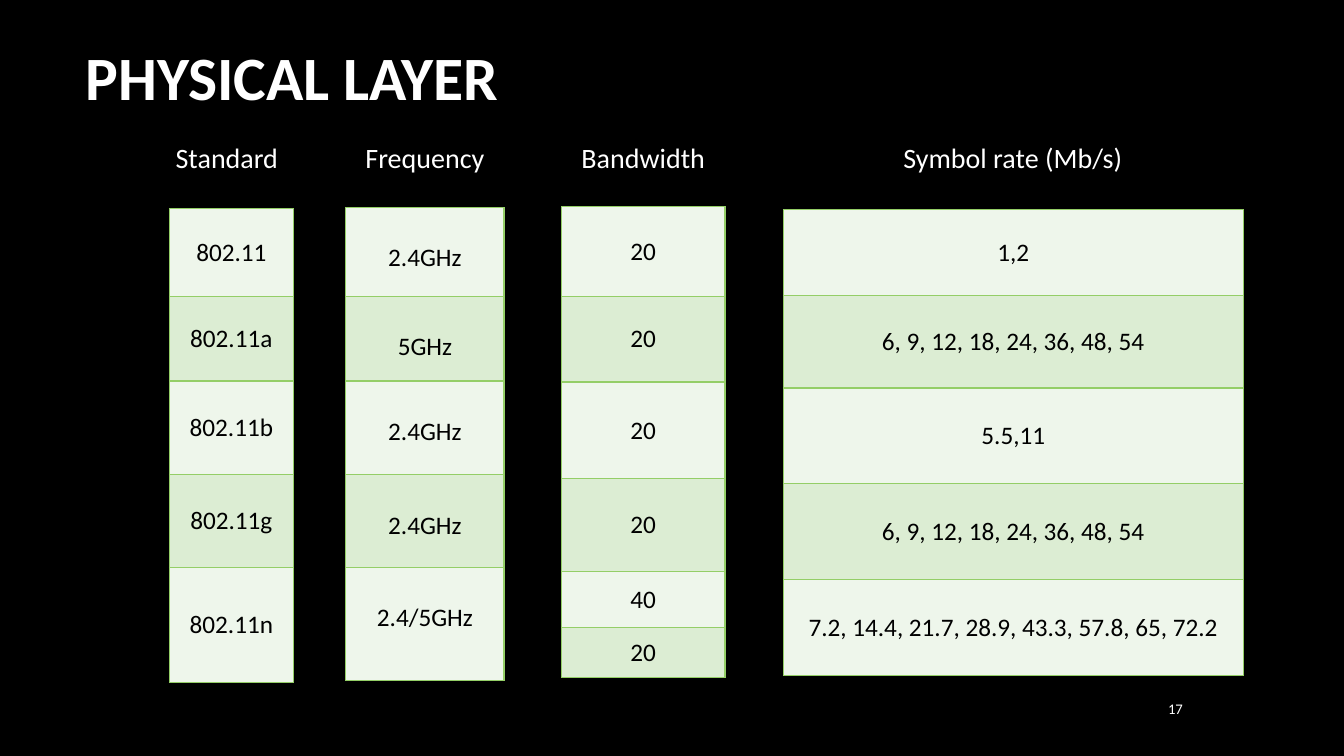
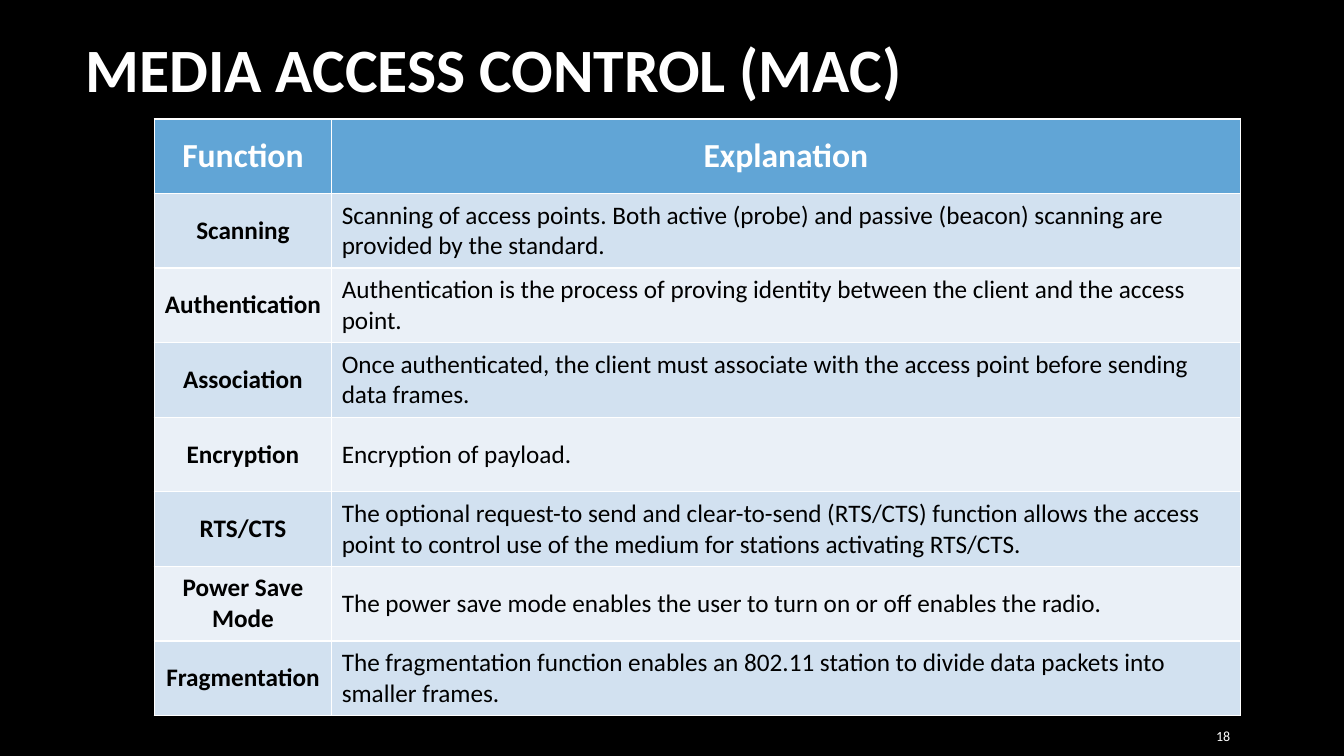
from lxml import etree
from pptx import Presentation
from pptx.dml.color import RGBColor
from pptx.enum import text as t
from pptx.oxml import ns
from pptx.util import Inches, Pt

FONT = "Calibri"
BLACK = RGBColor(0x00, 0x00, 0x00)
WHITE = RGBColor(0xFF, 0xFF, 0xFF)
GREEN_LINE = RGBColor(0x94, 0xCE, 0x67)
GREEN_BANDS = (RGBColor(0xEE, 0xF6, 0xEB), RGBColor(0xDC, 0xED, 0xD3))
BLUE_HEADER = RGBColor(0x61, 0xA5, 0xD6)
BLUE_BANDS = (RGBColor(0xD2, 0xE1, 0xF0), RGBColor(0xEA, 0xF0, 0xF7))
LEFT, CENTER, RIGHT = t.PP_ALIGN.LEFT, t.PP_ALIGN.CENTER, t.PP_ALIGN.RIGHT
TOP, MIDDLE = t.MSO_ANCHOR.TOP, t.MSO_ANCHOR.MIDDLE

LABEL_TOP = 1.34
RATES_OFDM = "6, 9, 12, 18, 24, 36, 48, 54"
STANDARD_COLUMNS = [
    dict(label="Standard", label_box=(1.58, 1.34), left=1.68, top=2.07, width=1.23,
         heights=[0.87, 0.84, 0.93, 0.92, 1.14],
         values=["802.11", "802.11a", "802.11b", "802.11g", "802.11n"]),
    dict(label="Frequency", label_box=(3.51, 1.41), left=3.43, top=2.06, width=1.57,
         heights=[0.88, 0.84, 0.93, 0.92, 1.12], anchor=TOP, margin_top=0.35,
         values=["2.4GHz", "5GHz", "2.4GHz", "2.4GHz", "2.4/5GHz"]),
    dict(label="Bandwidth", label_box=(5.57, 1.62), left=5.57, top=2.05, width=1.62,
         heights=[0.89, 0.85, 0.96, 0.92, 0.56, 0.49],
         values=["20", "20", "20", "20", "40", "20"]),
    dict(label="Symbol rate (Mb/s)", label_box=(8.43, 3.23), left=7.77, top=2.08, width=4.56,
         heights=[0.85, 0.92, 0.95, 0.95, 0.95],
         values=["1,2", RATES_OFDM, "5.5,11", RATES_OFDM,
                 "7.2, 14.4, 21.7, 28.9, 43.3, 57.8, 65, 72.2"]),
]

MAC_HEADER = ("Function", "Explanation")
MAC_FUNCTIONS = [
    ("Scanning", "Scanning of access points. Both active (probe) and passive (beacon) "
                 "scanning are provided by the standard."),
    ("Authentication", "Authentication is the process of proving identity between the client "
                       "and the access point."),
    ("Association", "Once authenticated, the client must associate with the access point "
                    "before sending data frames."),
    ("Encryption", "Encryption of payload."),
    ("RTS/CTS", "The optional request-to send and clear-to-send (RTS/CTS) function allows the "
                "access point to control use of the medium for stations activating RTS/CTS."),
    ("Power Save Mode", "The power save mode enables the user to turn on or off enables the radio."),
    ("Fragmentation", "The fragmentation function enables an 802.11 station to divide data "
                      "packets into smaller frames."),
]


def write_text(frame, content, size=18, color=BLACK, bold=False, align=LEFT):
    paragraph = frame.paragraphs[0]
    paragraph.alignment = align
    run = paragraph.add_run()
    run.text = content
    run.font.name = FONT
    run.font.size = Pt(size)
    run.font.bold = bold
    run.font.color.rgb = color


def add_text(slide, content, left, top, width, height, anchor=TOP, **text_format):
    box = slide.shapes.add_textbox(Inches(left), Inches(top), Inches(width), Inches(height))
    box.text_frame.word_wrap = True
    box.text_frame.vertical_anchor = anchor
    write_text(box.text_frame, content, color=WHITE, **text_format)


def set_borders(cell, color, width=1):
    properties = cell._tc.get_or_add_tcPr()
    for position, side in enumerate(("lnL", "lnR", "lnT", "lnB")):
        line = etree.Element(ns.qn(f"a:{side}"), w=str(Pt(width)))
        fill = etree.SubElement(line, ns.qn("a:solidFill"))
        etree.SubElement(fill, ns.qn("a:srgbClr"), val=str(color))
        properties.insert(position, line)


def fill_cell(cell, content, fill, border, anchor=MIDDLE, margin_top=0.05, **text_format):
    cell.vertical_anchor = anchor
    cell.margin_top = Inches(margin_top)
    cell.fill.solid()
    cell.fill.fore_color.rgb = fill
    set_borders(cell, border)
    write_text(cell.text_frame, content, **text_format)


def add_grid(slide, left, top, widths, heights):
    frame = slide.shapes.add_table(len(heights), len(widths), Inches(left), Inches(top),
                                   Inches(sum(widths)), Inches(sum(heights)))
    table = frame.table
    table.first_row = False
    table.horz_banding = False
    for column, width in zip(table.columns, widths):
        column.width = Inches(width)
    for row, height in zip(table.rows, heights):
        row.height = Inches(height)
    return table


def add_standard_column(slide, label, label_box, left, top, width, heights, values, **cell_format):
    table = add_grid(slide, left, top, [width], heights)
    for index, value in enumerate(values):
        fill_cell(table.cell(index, 0), value, GREEN_BANDS[index % 2], GREEN_LINE,
                  align=CENTER, **cell_format)
    label_left, label_width = label_box
    add_text(slide, label, label_left, LABEL_TOP, label_width, 0.44, size=20, align=CENTER)


def add_function_table(slide):
    table = add_grid(slide, 1.53, 1.18, [1.76, 9.01], [0.74] * (len(MAC_FUNCTIONS) + 1))
    for index, heading in enumerate(MAC_HEADER):
        fill_cell(table.cell(0, index), heading, BLUE_HEADER, WHITE,
                  size=24, color=WHITE, bold=True, align=CENTER)
    for index, (name, explanation) in enumerate(MAC_FUNCTIONS):
        band = BLUE_BANDS[index % 2]
        fill_cell(table.cell(index + 1, 0), name, band, WHITE, bold=True, align=CENTER)
        fill_cell(table.cell(index + 1, 1), explanation, band, WHITE)


def add_slide(presentation, title, title_top, title_height, number, number_position, number_size):
    slide = presentation.slides.add_slide(presentation.slide_layouts[6])
    slide.background.fill.solid()
    slide.background.fill.fore_color.rgb = BLACK
    add_text(slide, title, 0.75, title_top, 11.08, title_height, anchor=MIDDLE, size=44, bold=True)
    add_text(slide, number, *number_position, 0.6, 0.41, anchor=MIDDLE, size=number_size, align=RIGHT)
    return slide


def main():
    presentation = Presentation()
    presentation.slide_width = Inches(13.33)
    presentation.slide_height = Inches(7.5)

    physical = add_slide(presentation, "PHYSICAL LAYER", 0.17, 1.17, "17", (11.23, 6.82), 10.5)
    for column in STANDARD_COLUMNS:
        add_standard_column(physical, **column)

    access = add_slide(presentation, "MEDIA ACCESS CONTROL (MAC)", 0.05, 1.24, "18", (11.7, 7.1), 10)
    add_function_table(access)

    presentation.save("out.pptx")


if __name__ == "__main__":
    main()
